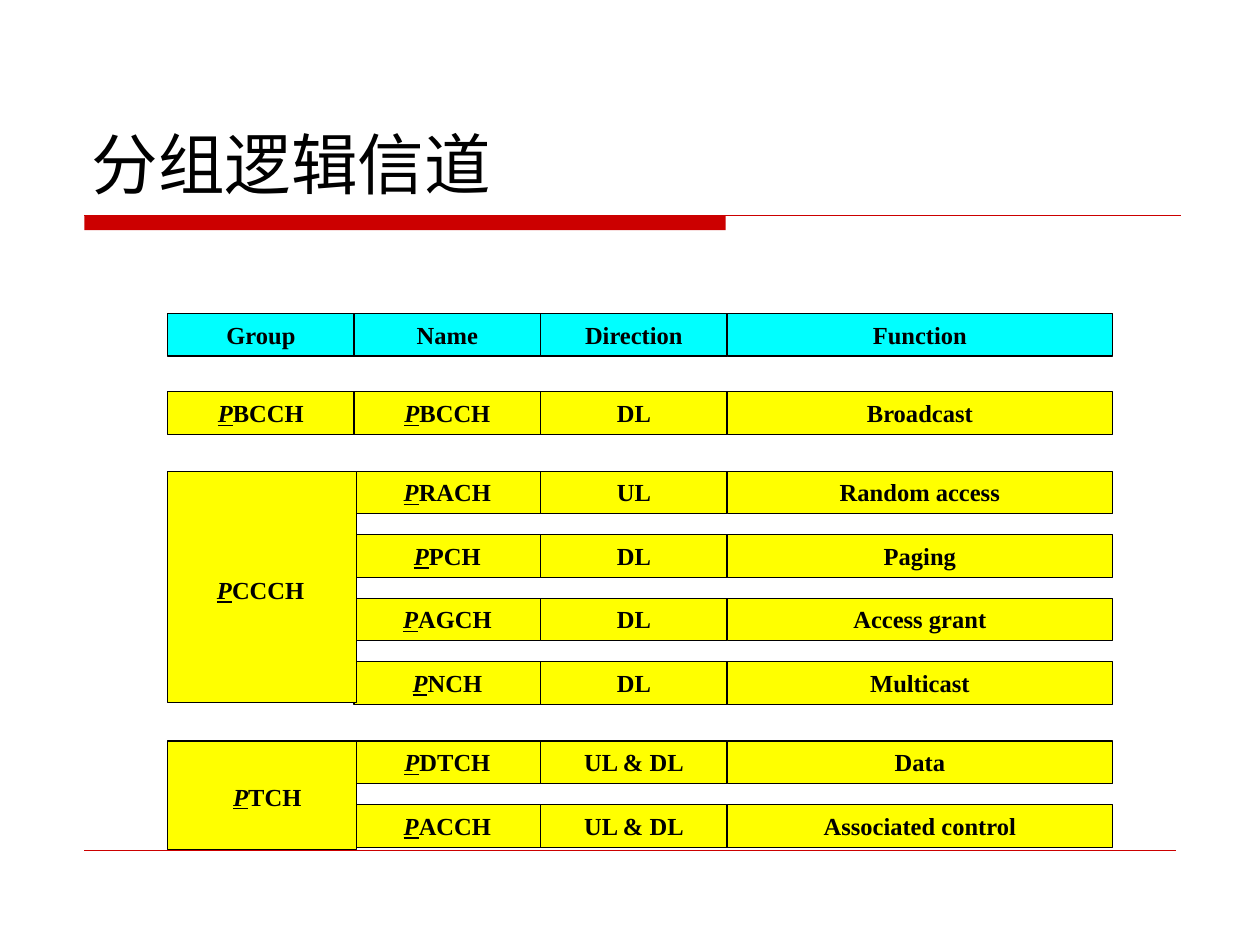
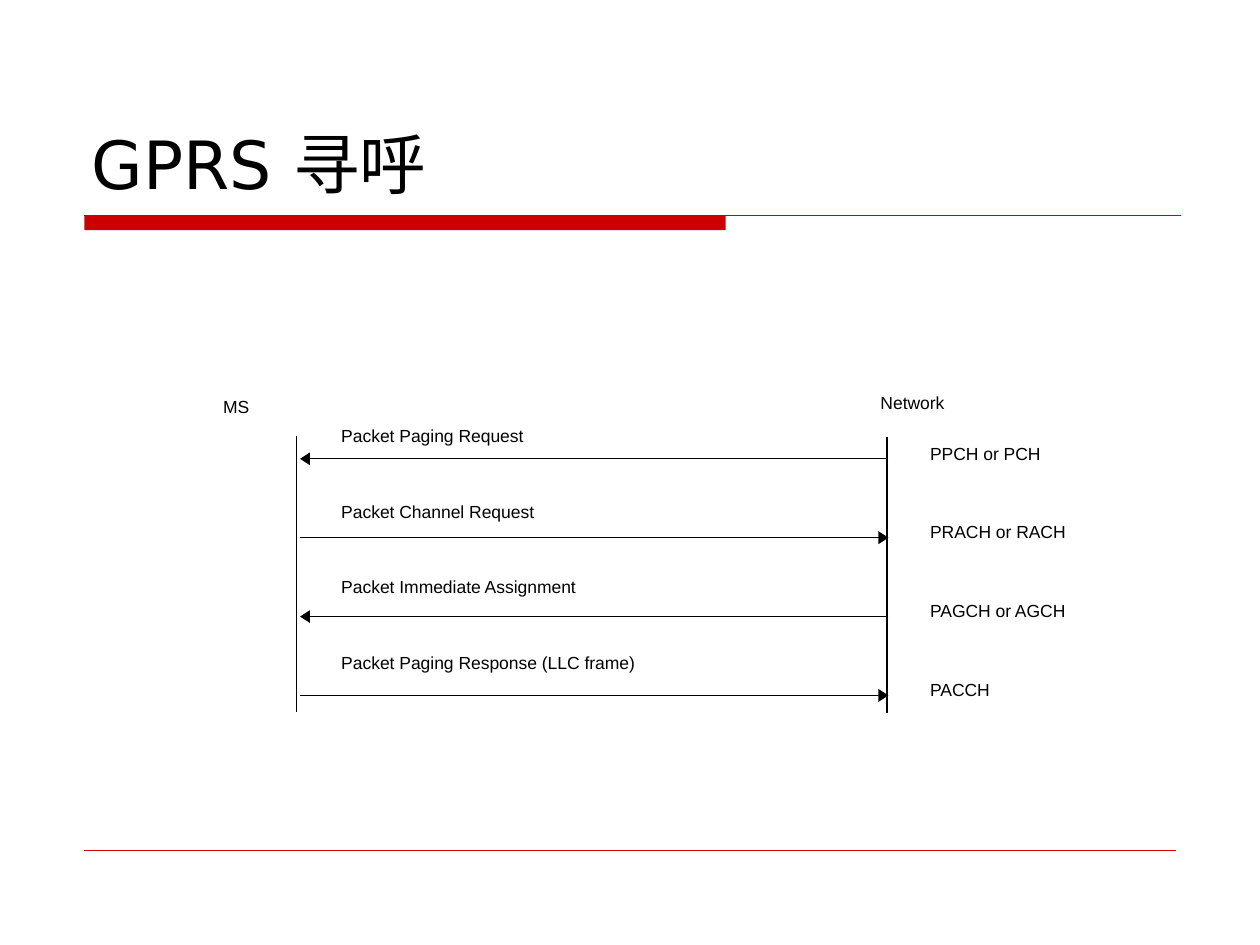
from pptx import Presentation
from pptx.dml.color import RGBColor
from pptx.enum.shapes import MSO_CONNECTOR, MSO_SHAPE
from pptx.enum.text import MSO_ANCHOR, MSO_AUTO_SIZE, PP_ALIGN
from pptx.oxml.ns import qn
from pptx.util import Cm, Pt
from lxml.etree import SubElement

RED = RGBColor(0xCC, 0x00, 0x00)
BLACK = RGBColor(0x00, 0x00, 0x00)
CYAN = RGBColor(0x00, 0xFF, 0xFF)
YELLOW = RGBColor(0xFF, 0xFF, 0x00)

TITLE_FONT, TABLE_FONT, DIAGRAM_FONT = "DejaVu Sans", "Times New Roman", "Arial"

# Channel grid: column widths, row height and row pitch in cm
COLUMNS = [3.76, 3.76, 3.76, 7.77]
ROW_HEIGHT, ROW_PITCH = 0.86, 1.28
GROUP_WIDTH = 3.81

HEADER = ["Group", "Name", "Direction", "Function"]
BROADCAST = ["PBCCH", "PBCCH", "DL", "Broadcast"]
COMMON = [
    ["PRACH", "UL", "Random access"],
    ["PPCH", "DL", "Paging"],
    ["PAGCH", "DL", "Access grant"],
    ["PNCH", "DL", "Multicast"],
]
TRAFFIC = [
    ["PDTCH", "UL & DL", "Data"],
    ["PACCH", "UL & DL", "Associated control"],
]

# Message, its width, channel, its width, whether it goes to the network
MESSAGES = [
    ("Packet Paging Request", 3.68, "PPCH or PCH", 2.24, False),
    ("Packet Channel Request", 3.89, "PRACH or RACH", 2.74, True),
    ("Packet Immediate Assignment", 4.75, "PAGCH or AGCH", 2.77, False),
    ("Packet Paging Response (LLC frame)", 5.92, "PACCH", 1.24, True),
]


def add_run(p, text, font, size, bold=False):
    r = p.add_run()
    r.text = text
    r.font.name = font
    r.font.size = Pt(size)
    r.font.bold = bold
    r.font.color.rgb = BLACK
    return r


def add_rect(s, x, y, w, h, fill, line=None):
    sp = s.shapes.add_shape(MSO_SHAPE.RECTANGLE, Cm(x), Cm(y), Cm(w), Cm(h))
    sp.shadow.inherit = False
    sp.fill.solid()
    sp.fill.fore_color.rgb = fill
    if line is None:
        sp.line.fill.background()
    else:
        sp.line.color.rgb = line
        sp.line.width = Pt(0.75)
    return sp


def add_line(s, x1, y1, x2, y2, color, width):
    c = s.shapes.add_connector(MSO_CONNECTOR.STRAIGHT, Cm(x1), Cm(y1), Cm(x2), Cm(y2))
    c.line.color.rgb = color
    c.line.width = Pt(width)
    SubElement(c._element.spPr, qn("a:effectLst"))


def add_frame(prs, title):
    """New slide with title, red band and footer rule."""
    s = prs.slides.add_slide(prs.slide_layouts[6])
    add_rect(s, 1.7, 4.34, 12.93, 0.3, RED)
    add_line(s, 1.7, 4.34, 23.8, 4.34, RED, 0.75)
    add_line(s, 1.7, 17.15, 23.7, 17.15, RED, 0.25)
    tf = s.shapes.add_textbox(Cm(1.6), Cm(0.84), Cm(22.23), Cm(3.38)).text_frame
    tf.word_wrap = True
    tf.vertical_anchor = MSO_ANCHOR.BOTTOM
    add_run(tf.paragraphs[0], title, TITLE_FONT, 38)
    return s


# Channel grid
def add_cell(s, x, y, w, text, fill=YELLOW, line=BLACK):
    sp = add_rect(s, x, y, w, ROW_HEIGHT, fill, line)
    tf = sp.text_frame
    tf.word_wrap = True
    tf.vertical_anchor = MSO_ANCHOR.TOP
    p = tf.paragraphs[0]
    p.alignment = PP_ALIGN.CENTER
    # Channel names stress their initial P
    if text.endswith("CH"):
        r = add_run(p, text[0], TABLE_FONT, 14, True)
        r.font.italic = r.font.underline = True
        text = text[1:]
    add_run(p, text, TABLE_FONT, 14, True)


def add_row(s, x, y, texts, fill=YELLOW):
    """Fill the rightmost columns of a grid whose left edge is x."""
    first = len(COLUMNS) - len(texts)
    for i, text in enumerate(texts, first):
        add_cell(s, x + sum(COLUMNS[:i]), y, COLUMNS[i], text, fill)


def add_group(s, x, y, height, rows, name, label):
    """Rows at an equal pitch, beside one tall box with its name."""
    for i, row in enumerate(rows):
        add_row(s, x, y + i * ROW_PITCH, row)
    add_rect(s, x, y, GROUP_WIDTH, height, YELLOW, BLACK)
    dx, dy, w = label
    add_cell(s, x + dx, y + dy, w, name, line=None)


def add_channel_grid(s, x, y):
    add_row(s, x, y, HEADER, CYAN)
    add_row(s, x, y + 1.58, BROADCAST)
    add_group(s, x, y + 8.62, 2.18, TRAFFIC, "PTCH", (0.51, 0.69, 3))
    add_group(s, x, y + 3.18, 4.67, COMMON, "PCCCH", (0.25, 1.96, 3.25))


# Paging sequence
def add_label(s, x, y, w, text):
    tf = s.shapes.add_textbox(Cm(x), Cm(y), Cm(w), Cm(0.38)).text_frame
    tf.margin_left = tf.margin_right = tf.margin_top = tf.margin_bottom = 0
    tf.word_wrap = False
    tf.auto_size = MSO_AUTO_SIZE.SHAPE_TO_FIT_TEXT
    p = tf.paragraphs[0]
    p.line_spacing = 0.9
    add_run(p, text, DIAGRAM_FONT, 10)


def add_arrow(s, start, end, y):
    """Horizontal line ending in a solid triangle."""
    back = 0.2 if end < start else -0.2
    add_line(s, start, y, end + back * 0.7, y, BLACK, 0.6)
    fb = s.shapes.build_freeform(Cm(end), Cm(y))
    base = Cm(end + back)
    fb.add_line_segments([(base, Cm(y - 0.13)), (base, Cm(y + 0.13))], close=True)
    head = fb.convert_to_shape()
    head.shadow.inherit = False
    head.fill.solid()
    head.fill.fore_color.rgb = BLACK
    head.line.fill.background()


def add_paging_sequence(s, x, y):
    add_label(s, x, y + 0.08, 0.53, "MS")
    add_label(s, x + 13.25, y, 1.3, "Network")
    mobile, network = x + 1.55, x + 13.41
    for i, (message, width, channel, channel_width, uplink) in enumerate(MESSAGES):
        start, end = (mobile, network) if uplink else (network, mobile)
        add_arrow(s, start, end, y + 1.3 + 1.59 * i)
        add_label(s, x + 2.38, y + 0.66 + 1.53 * i, width, message)
        add_label(s, x + 14.25, y + 1.02 + 1.59 * i, channel_width, channel)
    # Lifelines
    for dx, dy in [(1.47, 0.84), (13.38, 0.86)]:
        add_line(s, x + dx, y + dy, x + dx, y + dy + 5.56, BLACK, 0.75)


def main():
    prs = Presentation()
    prs.slide_width, prs.slide_height = Cm(25.4), Cm(19.05)
    add_channel_grid(add_frame(prs, "分组逻辑信道"), 3.38, 6.32)
    add_paging_sequence(add_frame(prs, "GPRS 寻呼"), 4.5, 7.95)
    prs.save("out.pptx")


if __name__ == "__main__":
    main()
